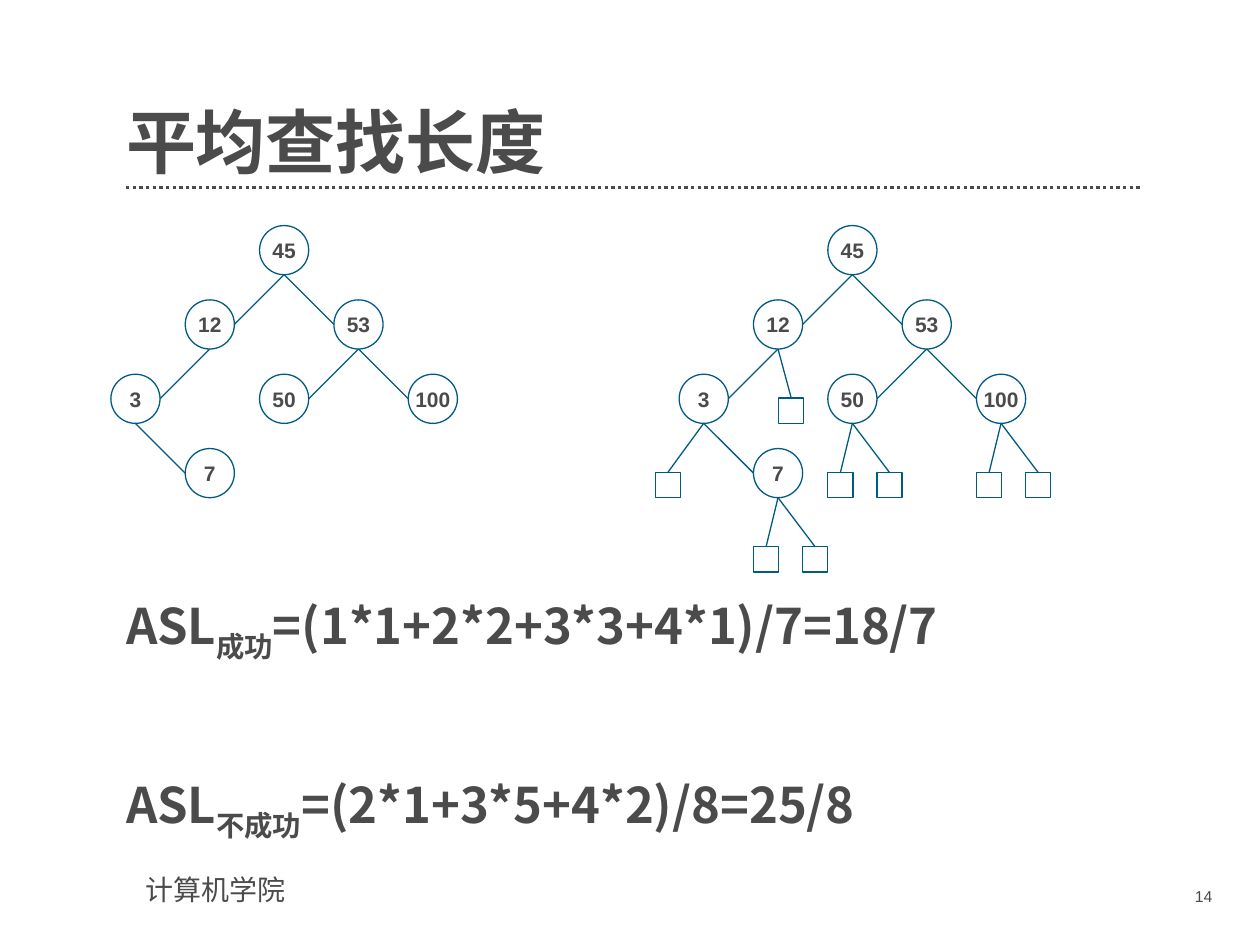
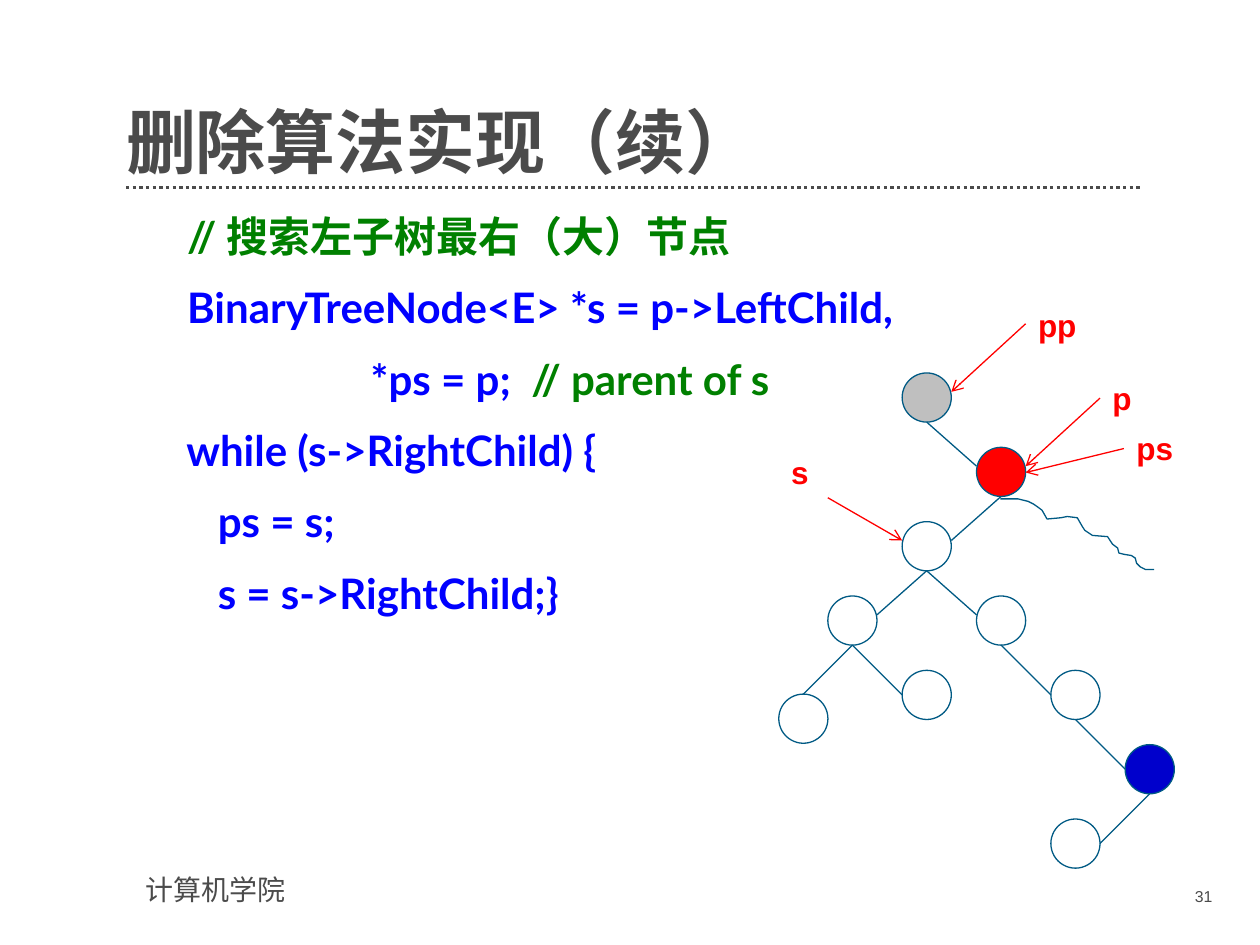
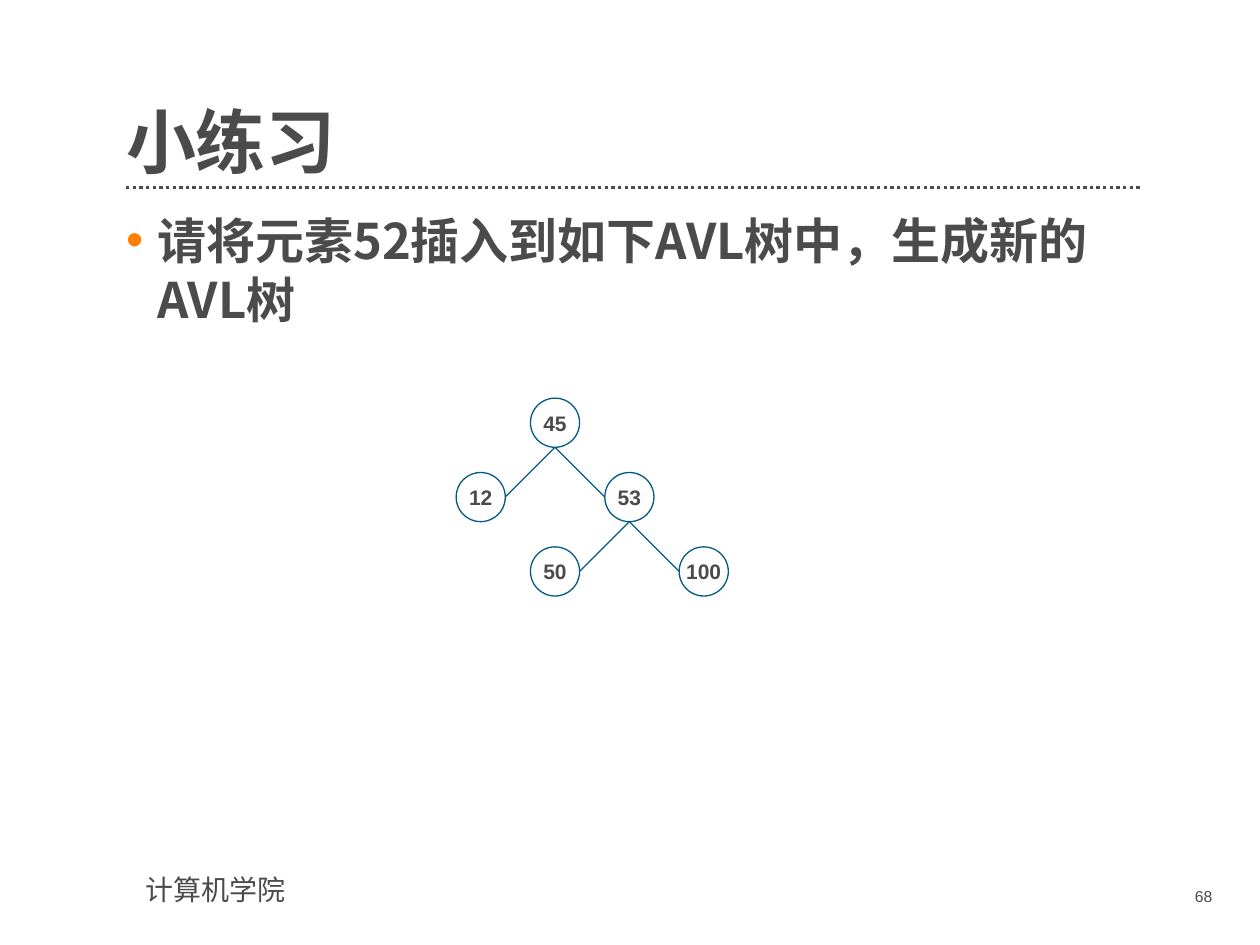
from lxml import etree
from pptx import Presentation
from pptx.dml.color import RGBColor
from pptx.enum import dml, shapes, text
from pptx.oxml.ns import qn
from pptx.util import Inches, Pt

INK = RGBColor(0x4B, 0x4B, 0x4B)
TEAL = RGBColor(0x00, 0x5A, 0x84)
RED = RGBColor(0xFF, 0x00, 0x00)
GREY = RGBColor(0xBF, 0xBF, 0xBF)
NAVY = RGBColor(0x00, 0x00, 0xCC)
CODE = RGBColor(0x00, 0x00, 0xFF)
COMMENT = RGBColor(0x00, 0x80, 0x00)
CJK = "Noto Sans CJK SC"
NODE, STEP, LEAF = 0.39, 0.59, 0.2


def style(paragraph, font_name, size, color=INK, bold=False):
    font = paragraph.font
    font.name, font.size, font.bold = font_name, Pt(size), bold
    font.color.rgb = color
    defaults = paragraph._p.pPr.find(qn("a:defRPr"))
    etree.SubElement(defaults, qn("a:ea"), typeface=CJK)


def connect(slide, start, end, color=TEAL, width=0.75, arrow=False):
    points = [Inches(value) for value in (*start, *end)]
    connector = slide.shapes.add_connector(shapes.MSO_CONNECTOR.STRAIGHT, *points)
    connector.line.color.rgb = color
    connector.line.width = Pt(width)
    properties = connector._element.spPr
    if arrow:
        etree.SubElement(properties.find(qn("a:ln")), qn("a:tailEnd"), type="arrow")
    etree.SubElement(properties, qn("a:effectLst"))
    return connector


prs = Presentation()
prs.slide_width, prs.slide_height = Inches(10), Inches(7.5)
layout = prs.slide_layouts[1]

pages = []
for heading, number, body_top, body_height in [
    ("平均查找长度", "14", 4.73, 1.94),
    ("删除算法实现（续）", "31", 1.67, 5),
    ("小练习", "68", 1.67, 5),
]:
    slide = prs.slides.add_slide(layout)
    title, body = slide.placeholders
    title.left, title.top = Inches(1), Inches(0.55)
    title.width, title.height = Inches(8.06), Inches(0.91)
    body.left, body.top = Inches(1), Inches(body_top)
    body.width, body.height = Inches(8.06), Inches(body_height)
    for holder, right in ((title, 0), (body, 0.2)):
        frame = holder.text_frame
        frame.auto_size = text.MSO_AUTO_SIZE.NONE
        frame.margin_left = frame.margin_top = frame.margin_bottom = 0
        frame.margin_right = Inches(right)
    title.text_frame.vertical_anchor = text.MSO_ANCHOR.BOTTOM
    body.text_frame.vertical_anchor = text.MSO_ANCHOR.TOP
    title.text_frame.text = heading
    heading_line = title.text_frame.paragraphs[0]
    heading_line.alignment = text.PP_ALIGN.LEFT
    heading_line.line_spacing = 0.9
    style(heading_line, CJK, 40, bold=True)

    page_number = slide.shapes.add_textbox(Inches(8.73), Inches(6.99), Inches(0.99), Inches(0.29))
    page_number.text_frame.text = number
    page_number.text_frame.paragraphs[0].alignment = text.PP_ALIGN.RIGHT
    style(page_number.text_frame.paragraphs[0], "Arial", 9)
    pages.append((slide, body.text_frame))

(average, formulas), (deletion, code), (exercise, task) = pages

rule = connect(average, (1, 1.49), (9.06, 1.49), INK, 1.9)
rule.line.dash_style = dml.MSO_LINE.ROUND_DOT
college = average.shapes.add_textbox(Inches(1.06), Inches(6.88), Inches(2.76), Inches(0.37))
college.text_frame.text = "计算机学院"
style(college.text_frame.paragraphs[0], "Arial", 16)
for shared in (rule, college):
    layout.shapes.element.append(shared._element)

code_lines = [
    [("      // 搜索左子树最右（大）节点", COMMENT)],
    [("      BinaryTreeNode<E> *s = p->LeftChild,", CODE)],
    [("                        *ps = p;", CODE), ("  // parent of s", COMMENT)],
    [("      while (s->RightChild) {", CODE)],
    [("         ps = s;", CODE)],
    [("         s = s->RightChild;}", CODE)],
]
formula_lines = [
    [("ASL", INK), ("成功", INK), ("=(1*1+2*2+3*3+4*1)/7=18/7", INK)],
    [("ASL", INK), ("不成功", INK), ("=(2*1+3*5+4*2)/8=25/8", INK)],
]
task_lines = [[("请将元素52插入到如下AVL树中，生成新的AVL树", INK)]]

for frame, lines, font_name, size, gap in [
    (formulas, formula_lines, CJK, 28, 64),
    (code, code_lines, "Lato", 24, 12),
    (task, task_lines, CJK, 28, 0),
]:
    for index, line in enumerate(lines):
        paragraph = frame.paragraphs[0] if index == 0 else frame.add_paragraph()
        paragraph.space_before = Pt(gap if index else 0)
        properties = paragraph._p.get_or_add_pPr()
        properties.set("marL", str(Inches(0.25)))
        properties.set("indent", str(-Inches(0.25)))
        if frame is task:
            bullet_color = etree.SubElement(properties, qn("a:buClr"))
            etree.SubElement(bullet_color, qn("a:srgbClr"), val="FF8000")
            etree.SubElement(properties, qn("a:buChar"), char="•")
        else:
            etree.SubElement(properties, qn("a:buNone"))
        style(paragraph, font_name, size, line[0][1], True)
        for words, color in line:
            run = paragraph.add_run()
            run.text = words
            if color != line[0][1]:
                run.font.color.rgb = color
            if words in ("成功", "不成功"):
                run.font._element.set("baseline", "-25000")

search_nodes = {"45": (2, 0), "12": (1, 1), "53": (3, 1), "3": (0, 2),
                "50": (2, 2), "100": (4, 2), "7": (1, 3)}
search_edges = [("45", "12"), ("45", "53"), ("12", "3"), ("53", "50"), ("53", "100"), ("3", "7")]
avl_nodes = {"45": (1, 0), "12": (0, 1), "53": (2, 1), "50": (1, 2), "100": (3, 2)}
avl_edges = [("45", "12"), ("45", "53"), ("53", "50"), ("53", "100")]
deletion_nodes = {"pp": (0, 0), "p": (1, 1), "s": (0, 2), "left": (-1, 3), "right": (1, 3),
                  "left-left": (-1.66, 4.32), "left-right": (0, 4), "next": (2, 4),
                  "rightmost": (3, 5), "last": (2, 6)}
deletion_edges = [("pp", "p"), ("p", "s"), ("s", "left"), ("s", "right"), ("left", "left-left"),
                  ("left", "left-right"), ("right", "next"), ("next", "rightmost"),
                  ("rightmost", "last")]
fills = {"pp": GREY, "p": RED, "rightmost": NAVY}
high_landings = ("p", "s", "left", "right")

for slide, left, top, nodes, edges in [
    (average, 0.88, 1.79, search_nodes, search_edges),
    (average, 5.39, 1.79, search_nodes, search_edges),
    (deletion, 7.16, 2.96, deletion_nodes, deletion_edges),
    (exercise, 3.62, 3.16, avl_nodes, avl_edges),
]:
    for key, (column, row) in nodes.items():
        node = slide.shapes.add_shape(
            shapes.MSO_SHAPE.OVAL, Inches(left + column * STEP), Inches(top + row * STEP),
            Inches(NODE), Inches(NODE))
        node.shadow.inherit = False
        node.line.color.rgb = TEAL
        node.line.width = Pt(0.75)
        if key in fills:
            node.fill.solid()
            node.fill.fore_color.rgb = fills[key]
        else:
            node.fill.background()
        if slide is not deletion:
            frame = node.text_frame
            frame.margin_left = frame.margin_right = frame.margin_top = frame.margin_bottom = 0
            frame.word_wrap = False
            frame.text = key
            frame.paragraphs[0].alignment = text.PP_ALIGN.CENTER
            style(frame.paragraphs[0], "Arial", 12, bold=True)
    for parent, child in edges:
        (parent_column, parent_row), (column, row) = nodes[parent], nodes[child]
        start = (left + parent_column * STEP + NODE / 2, top + parent_row * STEP + NODE)
        x, y = left + column * STEP, top + row * STEP
        if child == "left-left":
            end = (x + NODE / 2, y)
        else:
            end = (x + (NODE if column < parent_column else 0),
                   y + (0.15 if child in high_landings else NODE / 2))
        connect(slide, start, end)

for parent, offsets in {"3": [-0.19], "12": [0.2], "50": [0, 0.39],
                        "100": [0, 0.39], "7": [0, 0.39]}.items():
    column, row = search_nodes[parent]
    x, y = 5.39 + column * STEP, 1.79 + row * STEP
    for offset in offsets:
        leaf = average.shapes.add_shape(
            shapes.MSO_SHAPE.RECTANGLE, Inches(x + offset), Inches(y + 2 * NODE),
            Inches(LEAF), Inches(LEAF))
        leaf.shadow.inherit = False
        leaf.fill.background()
        leaf.line.color.rgb = TEAL
        leaf.line.width = Pt(0.75)
        branch = connect(average, (x + NODE / 2, y + NODE), (x + offset + LEAF / 2, y + 2 * NODE))
        branch.end_connect(leaf, 0)

for pointer, left, top, start, end in [
    ("p", 8.73, 2.96, (8.73, 3.16), (8.14, 3.7)),
    ("pp", 8.14, 2.38, (8.14, 2.57), (7.55, 3.11)),
    ("s", 6.18, 3.55, (6.57, 3.95), (7.16, 4.29)),
    ("ps", 8.92, 3.36, (8.92, 3.56), (8.14, 3.75)),
]:
    connect(deletion, start, end, RED, arrow=True)
    label = deletion.shapes.add_textbox(Inches(left), Inches(top), Inches(0.59), Inches(0.4))
    label.text_frame.word_wrap = True
    label.text_frame.text = pointer
    style(label.text_frame.paragraphs[0], "Arial", 18, RED, True)

subtree_points = [
    (7.94, 3.96), (8.08, 3.96), (8.16, 3.98), (8.2, 4), (8.23, 4.02), (8.27, 4.05),
    (8.31, 4.12), (8.42, 4.11), (8.47, 4.1), (8.55, 4.11), (8.59, 4.18), (8.61, 4.21),
    (8.67, 4.25), (8.79, 4.26), (8.83, 4.32), (8.87, 4.35), (8.88, 4.39), (8.92, 4.4),
    (8.98, 4.41), (9.01, 4.43), (9.02, 4.47), (9.05, 4.5), (9.09, 4.52), (9.16, 4.52),
]
outline = [(Inches(x), Inches(y)) for x, y in subtree_points]
builder = deletion.shapes.build_freeform(*outline[0])
builder.add_line_segments(outline[1:], close=False)
subtree = builder.convert_to_shape()
subtree.shadow.inherit = False
subtree.fill.background()
subtree.line.color.rgb = TEAL
subtree.line.width = Pt(0.75)

prs.save("out.pptx")
